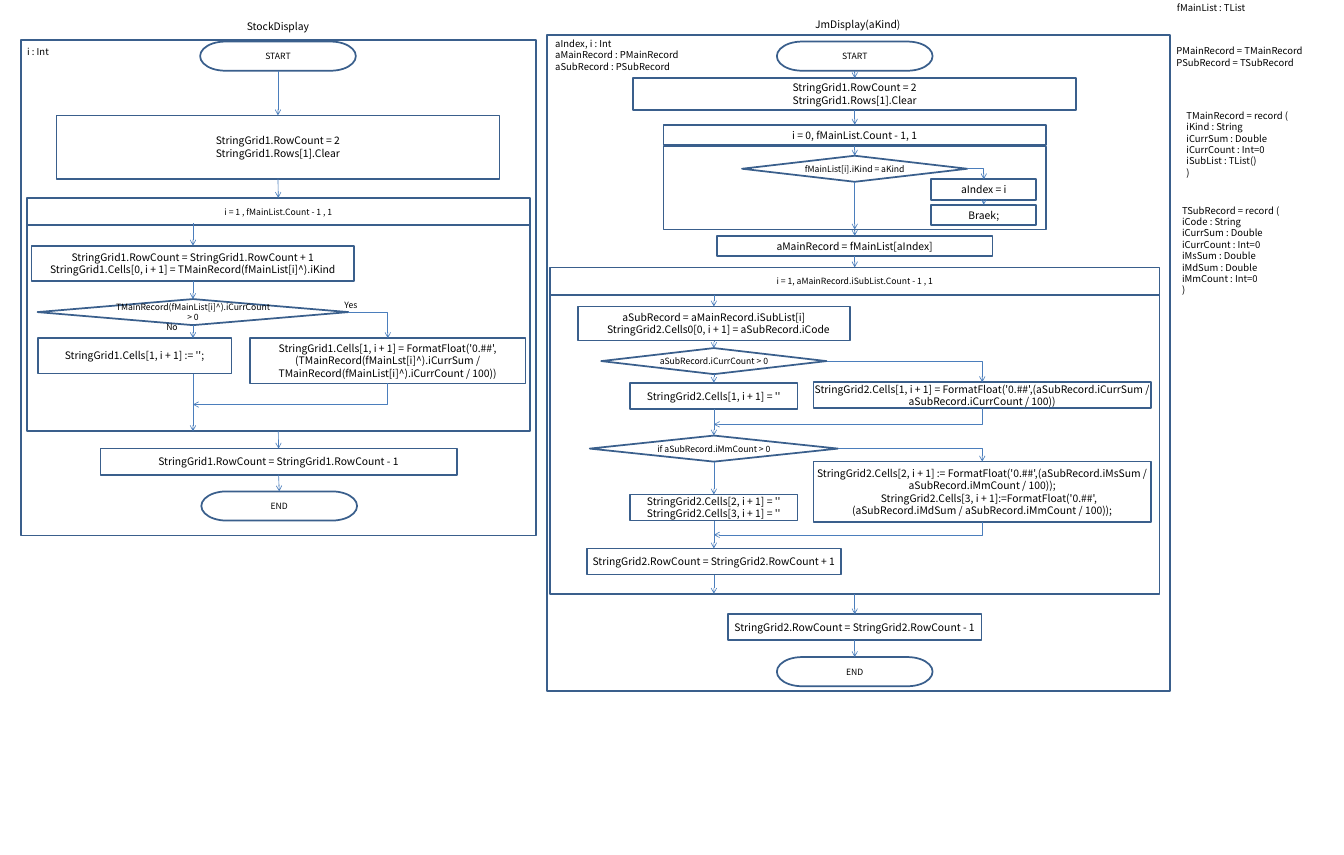
from dataclasses import dataclass

from lxml.etree import SubElement
from pptx import Presentation
from pptx.dml.color import RGBColor
from pptx.enum.shapes import MSO_CONNECTOR, MSO_SHAPE
from pptx.enum.text import MSO_ANCHOR, MSO_AUTO_SIZE, PP_ALIGN
from pptx.oxml.ns import qn
from pptx.util import Inches, Pt

COLORS = {"outline": "3A5F8C", "arrow": "4B7EBC", "text": "000000"}
FONT = "Noto Sans CJK KR"
CELL = Inches(0.1)  # side of one grid column and row
BOX, FORK, PILL = MSO_SHAPE.RECTANGLE, MSO_SHAPE.FLOWCHART_DECISION, MSO_SHAPE.FLOWCHART_TERMINATOR

# Vertical axes of the flow, in grid columns
STOCK, STOCK_NO, STOCK_YES = 44.8, 31.1, 62.5
JM, JM_NO, JM_YES, JM_FOUND = 137.75, 115.05, 158.3, 158.55


@dataclass
class Step:
    """A flowchart shape centred on an axis, measured in grid cells."""
    key: str
    kind: MSO_SHAPE
    axis: float
    top: float
    width: float
    height: float
    lines: tuple = ()
    size: int = 12
    indent: float = 0  # first-line indent of the last paragraph


@dataclass
class Note:
    """Free text, measured in grid cells."""
    left: float
    top: float
    width: float
    height: float
    lines: tuple
    size: int = 11
    inset: bool = True
    wrap: bool = True
    align: PP_ALIGN = PP_ALIGN.LEFT


def terminal(key: str, axis: float, top: float, word: str) -> Step:
    """Describe a START or END pill."""
    return Step(key, PILL, axis, top, 25.1, 4.7, (word,), 10)


def decision(key: str, axis: float, top: float, width: float, text: str) -> Step:
    """Describe a decision diamond."""
    return Step(key, FORK, axis, top, width, 4.2, (text,), 10)


STEPS = [
    Step("stock_frame", BOX, 44.9, 6.5, 83, 79.8),
    terminal("stock_start", STOCK, 6.7, "START"),
    Step("stock_clear", BOX, STOCK, 18.6, 71.4, 10.2,
         ("StringGrid1.RowCount = 2", "StringGrid1.Rows[1].Clear")),
    Step("stock_loop", BOX, 44.85, 31.9, 81.1, 4.4, ("i = 1 , fMainList.Count - 1 , 1",), 10),
    Step("stock_body", BOX, 44.85, 36.3, 81.1, 33.2),
    Step("stock_row", BOX, STOCK_NO, 39.6, 52, 5.7,
         ("StringGrid1.RowCount = StringGrid1.RowCount + 1",
          "StringGrid1.Cells[0, i + 1] = TMainRecord(fMainList[i]^).iKind")),
    decision("stock_fork", STOCK_NO, 48.2, 50.1, "TMainRecord(fMainList[i]^).iCurrCount > 0"),
    Step("stock_rate", BOX, STOCK_YES, 54.5, 44.4, 7.3,
         ("StringGrid1.Cells[1, i + 1] = FormatFloat('0.##',(TMainRecord(fMainLst[i]^).iCurrSum / "
          "TMainRecord(fMainList[i]^).iCurrCount / 100))",)),
    Step("stock_blank", BOX, 21.7, 54.5, 31.2, 5.7, ("StringGrid1.Cells[1, i + 1] := '';",)),
    Step("stock_trim", BOX, 44.9, 72.3, 57.4, 4.2,
         ("StringGrid1.RowCount = StringGrid1.RowCount - 1",)),
    terminal("stock_end", 45, 79.2, "END"),

    Step("jm_frame", BOX, 138.35, 5.6, 100.5, 105.8),
    terminal("jm_start", JM, 6.7, "START"),
    Step("jm_clear", BOX, JM, 12.6, 71.4, 5.1,
         ("StringGrid1.RowCount = 2", "StringGrid1.Rows[1].Clear")),
    Step("find_loop", BOX, JM, 20.1, 61.6, 3.3, ("i = 0, fMainList.Count - 1, 1",)),
    Step("find_body", BOX, JM, 23.6, 61.6, 13.4),
    decision("find_fork", JM, 25.1, 36.3, "fMainList[i].iKind = aKind"),
    Step("found", BOX, JM_FOUND, 28.9, 16.9, 3.3, ("aIndex = i",)),
    Step("leave", BOX, JM_FOUND, 33, 16.9, 3.3, ("Braek;",)),
    Step("main_record", BOX, JM, 38, 44.4, 3.3, ("aMainRecord = fMainList[aIndex]",)),
    Step("sub_loop", BOX, JM, 43.1, 98.2, 4.4, ("i = 1, aMainRecord.iSubList.Count - 1 , 1",), 10),
    Step("sub_body", BOX, JM, 47.5, 98.2, 48.2),
    Step("sub_record", BOX, JM_NO, 49.4, 43.9, 5.5,
         ("aSubRecord = aMainRecord.iSubList[i]",
          "StringGrid2.Cells0[0, i + 1] = aSubRecord.iCode"), 12, 1.5),
    decision("curr_fork", JM_NO, 56.1, 36.3, "aSubRecord.iCurrCount > 0"),
    Step("curr_rate", BOX, JM_YES, 61.6, 54.4, 4.2,
         ("StringGrid2.Cells[1, i + 1] = FormatFloat('0.##',(aSubRecord.iCurrSum / "
          "aSubRecord.iCurrCount / 100))",)),
    Step("curr_blank", BOX, JM_NO, 61.7, 27, 4.2, ("StringGrid2.Cells[1, i + 1] = ''",)),
    decision("mm_fork", JM_NO, 70.2, 40, "if aSubRecord.iMmCount > 0"),
    Step("mm_rates", BOX, JM_YES, 74.4, 54.4, 9.7,
         ("StringGrid2.Cells[2, i + 1] := FormatFloat('0.##',(aSubRecord.iMsSum / "
          "aSubRecord.iMmCount / 100));",
          "StringGrid2.Cells[3, i + 1]:=FormatFloat('0.##',(aSubRecord.iMdSum / "
          "aSubRecord.iMmCount / 100));"), 12, 2.2),
    Step("mm_blank", BOX, JM_NO, 79.7, 27, 4.2,
         ("StringGrid2.Cells[2, i + 1] = ''", "StringGrid2.Cells[3, i + 1] = ''")),
    Step("sub_row", BOX, JM_NO, 88.4, 40.9, 4.2,
         ("StringGrid2.RowCount = StringGrid2.RowCount + 1",)),
    Step("sub_trim", BOX, JM, 99, 40.9, 4.2, ("StringGrid2.RowCount = StringGrid2.RowCount - 1",)),
    terminal("jm_end", JM, 105.9, "END"),
]
CHAINS = [
    "stock_start stock_clear stock_loop", "stock_row stock_fork", "stock_body stock_trim stock_end",
    "jm_start jm_clear find_loop", "found leave", "find_body main_record sub_loop",
    "sub_record curr_fork curr_blank mm_fork mm_blank sub_row", "sub_body sub_trim jm_end",
]
DROPS = [(STOCK_NO, 36, 39.6), (STOCK_NO, 52.4, 54.5), (STOCK_NO, 60.2, 69.5),
         (JM, 23.6, 25.1), (JM, 29.3, 37), (JM_NO, 47.6, 49.4), (JM_NO, 92.6, 95.7)]
BRANCHES = [("stock_fork", "stock_rate"), ("find_fork", "found"),
            ("curr_fork", "curr_rate"), ("mm_fork", "mm_rates")]
RETURNS = [(STOCK_YES, 61.8, STOCK_NO, 65.2), (JM_YES, 65.8, JM_NO, 68.4),
           (JM_YES, 84.1, JM_NO, 86.2)]

TITLE = Note(11.1, 2.8, 67.4, 3, ("StockDisplay",), 12, False, align=PP_ALIGN.CENTER)
RECORDS = [
    Note(190.2, 17.2, 23.3, 12.1, ("TMainRecord = record (", "iKind : String", "iCurrSum : Double",
                                   "iCurrCount : Int=0", "iSubList : TList()", ")")),
    Note(189.5, 32.5, 23.3, 15.8, ("TSubRecord = record (", "iCode : String", "iCurrSum : Double",
                                   "iCurrCount : Int=0", "iMsSum : Double", "iMdSum : Double",
                                   "iMmCount : Int=0", ")")),
]
NOTES = [
    Note(97.4, 2.8, 81.7, 2.3, ("JmDisplay(aKind)",), 12, False, align=PP_ALIGN.CENTER),
    Note(3.4, 7, 7.7, 2.9, ("i : Int",)),
    Note(88.5, 5.6, 22.4, 6.6,
         ("aIndex, i : Int", "aMainRecord : PMainRecord", "aSubRecord : PSubRecord")),
    Note(188.7, -0.1, 26.7, 2.9, ("fMainList : TList",)),
    Note(188.6, 6.8, 22.7, 4.7, ("PMainRecord = TMainRecord", "PSubRecord = TSubRecord"), wrap=False),
    Note(55.5, 48.3, 4, 1.7, ("Yes",), 10, False),
    Note(26.8, 51.9, 2.5, 1.7, ("No",), 10, False),
]


def cells(*counts: float) -> list:
    """Turn counts of grid cells into lengths."""
    return [round(n * CELL) for n in counts]


def write(tf, lines: tuple, size: int, align: PP_ALIGN, inset_x: float, inset_y: float) -> None:
    """Fill a text frame with one paragraph per line."""
    tf.word_wrap = True
    tf.margin_left = tf.margin_right = Inches(inset_x)
    tf.margin_top = tf.margin_bottom = Inches(inset_y)
    for i, line in enumerate(lines):
        p = tf.add_paragraph() if i else tf.paragraphs[0]
        p.alignment, p.space_before = align, Pt(0)
        r = p.add_run()
        r.text = line
        r.font.name, r.font.size, r.font.bold = FONT, Pt(size), False
        r.font.color.rgb = RGBColor.from_string(COLORS["text"])


def draw_step(s, step: Step):
    """Draw one flowchart shape."""
    sp = s.shapes.add_shape(step.kind, *cells(step.axis - step.width / 2, step.top,
                                              step.width, step.height))
    sp.shadow.inherit = False
    sp.fill.background()
    sp.line.color.rgb = RGBColor.from_string(COLORS["outline"])
    sp.line.width = Pt(2)
    tf = sp.text_frame
    tf.vertical_anchor = MSO_ANCHOR.MIDDLE
    write(tf, step.lines, step.size, PP_ALIGN.CENTER, 0, 0.01 if step.kind == FORK else 0)
    if step.indent:
        tf.paragraphs[-1]._p.get_or_add_pPr().set("indent", str(cells(step.indent)[0]))
    return sp


def fill_note(sp, note: Note) -> None:
    """Place a placeholder or text box and write its note without bullets."""
    sp.left, sp.top, sp.width, sp.height = cells(note.left, note.top, note.width, note.height)
    tf = sp.text_frame
    tf.auto_size = MSO_AUTO_SIZE.NONE
    tf.vertical_anchor = MSO_ANCHOR.MIDDLE if note.align == PP_ALIGN.CENTER else MSO_ANCHOR.TOP
    write(tf, note.lines, note.size, note.align, 0.1 * note.inset, 0.05 * note.inset)
    tf.word_wrap = note.wrap
    for p in tf.paragraphs:
        pPr = p._p.get_or_add_pPr()
        pPr.set("marL", "0")
        pPr.set("indent", "0")
        SubElement(pPr, qn("a:buNone"))


def arrow(s, x1: int, y1: int, x2: int, y2: int, bent: bool = False):
    """Draw an arrow; a bent one turns a single corner."""
    kind = MSO_CONNECTOR.ELBOW if bent else MSO_CONNECTOR.STRAIGHT
    cxn = s.shapes.add_connector(kind, x1, y1, x2, y2)
    cxn.line.color.rgb = RGBColor.from_string(COLORS["arrow"])
    cxn.line.width = Pt(0.75)
    spPr = cxn.element.spPr
    SubElement(spPr.find(qn("a:ln")), qn("a:tailEnd"), type="arrow")
    SubElement(spPr, qn("a:effectLst"))
    if bent:
        spPr.find(qn("a:prstGeom")).set("prst", "bentConnector2")
    return cxn


def link(s, a, b, branch: bool = False) -> None:
    """Glue an arrow from the bottom of a, or its right side, to the top of b."""
    x = a.left + (a.width if branch else a.width // 2)
    y = a.top + (a.height // 2 if branch else a.height)
    cxn = arrow(s, x, y, b.left + b.width // 2, b.top, branch)
    cxn.begin_connect(a, 3 if branch else 2)
    cxn.end_connect(b, 0)


def rejoin(s, x1: float, y1: float, x2: float, y2: float) -> None:
    """Draw an arrow that goes down, then left: a bent one turned by 90 degrees."""
    mid_x, mid_y, half_w, half_h = (x1 + x2) / 2, (y1 + y2) / 2, (x1 - x2) / 2, (y2 - y1) / 2
    cxn = arrow(s, *cells(mid_x - half_h, mid_y - half_w, mid_x + half_h, mid_y + half_w), True)
    cxn.element.spPr.find(qn("a:xfrm")).set("rot", "5400000")


prs = Presentation()
prs.slide_width, prs.slide_height = Inches(21.66), Inches(13.78)
s = prs.slides.add_slide(prs.slide_layouts[3])
for sp, note in zip(list(s.placeholders), [TITLE, *RECORDS]):
    fill_note(sp, note)
shapes = {step.key: draw_step(s, step) for step in STEPS}
for note in NOTES:
    fill_note(s.shapes.add_textbox(0, 0, CELL, CELL), note)
for chain in CHAINS:
    keys = chain.split()
    for a, b in zip(keys, keys[1:]):
        link(s, shapes[a], shapes[b])
for a, b in BRANCHES:
    link(s, shapes[a], shapes[b], branch=True)
for axis, top, bottom in DROPS:
    arrow(s, *cells(axis, top, axis, bottom))
for turn in RETURNS:
    rejoin(s, *turn)
prs.save("out.pptx")
